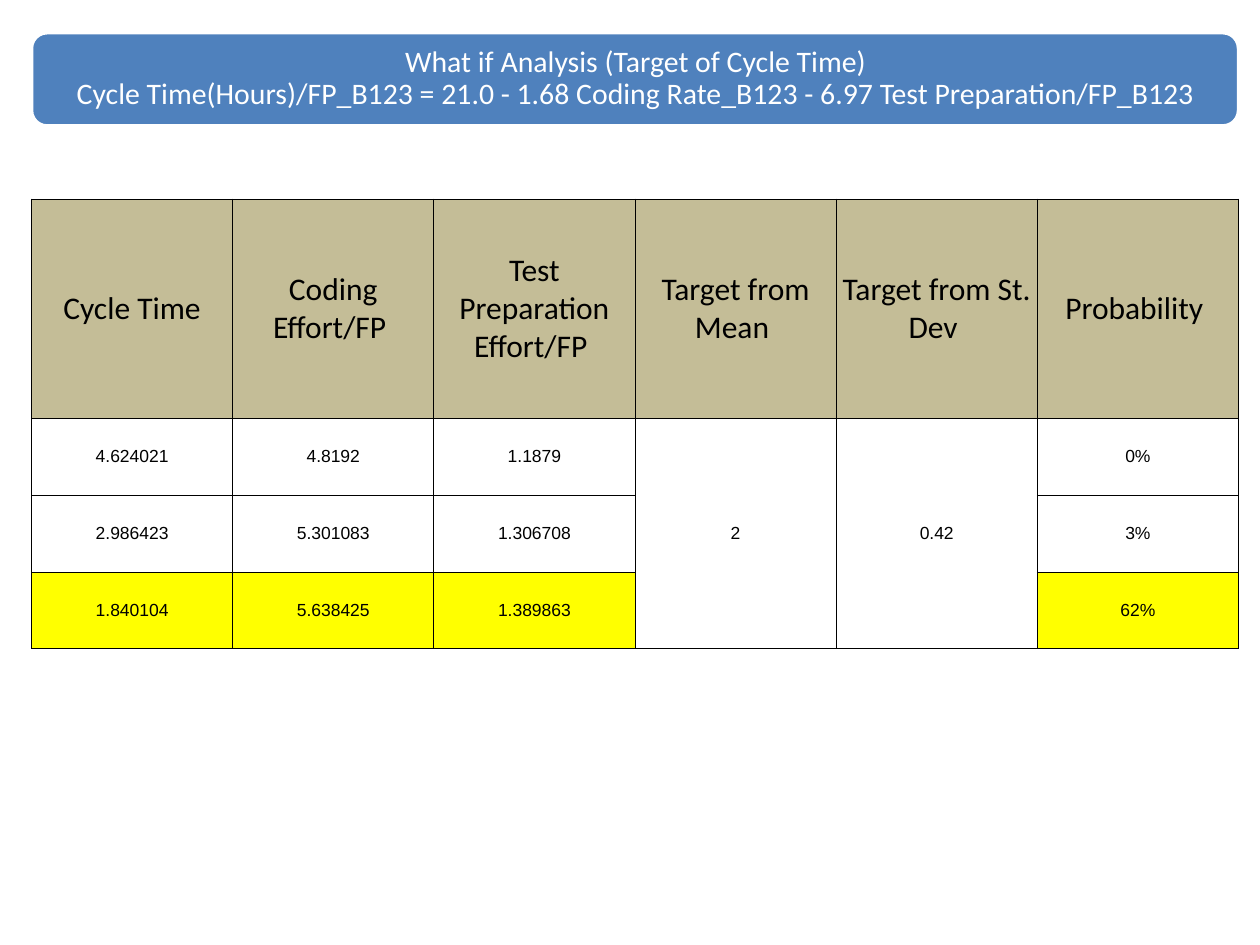
from copy import deepcopy

from lxml import etree
from pptx import Presentation
from pptx.dml.color import RGBColor
from pptx.enum.shapes import MSO_SHAPE
from pptx.enum.text import MSO_ANCHOR, MSO_AUTO_SIZE, PP_ALIGN
from pptx.oxml.ns import qn
from pptx.util import Inches, Pt

ROUNDED = MSO_SHAPE.ROUNDED_RECTANGLE
MIDDLE = MSO_ANCHOR.MIDDLE
CENTER = PP_ALIGN.CENTER
NO_AUTOFIT = MSO_AUTO_SIZE.NONE
TITLE_ONLY = 5

COLORS = {"blue": "4F81BD", "white": "FFFFFF", "black": "000000",
          "tan": "C4BD97", "yellow": "FFFF00"}
FORMATS = {
    "title": {"name": "Calibri", "size": Pt(17), "bold": False},
    "header": {"name": "Calibri", "size": Pt(18), "bold": False},
    "value": {"name": "Arial", "size": Pt(10), "bold": False},
}
SIDES = ("left", "right", "top", "bottom")


def format_text(para, style, color):
    para.alignment = CENTER
    for span in para.runs:
        for name, value in FORMATS[style].items():
            setattr(span.font, name, value)
        span.font.color.rgb = RGBColor.from_string(COLORS[color])


def add_borders(cell):
    properties = cell._tc.get_or_add_tcPr()
    for side in ("lnL", "lnR", "lnT", "lnB"):
        line = etree.SubElement(properties, qn(f"a:{side}"), w=str(Pt(0.5)))
        fill = etree.SubElement(line, qn("a:solidFill"))
        etree.SubElement(fill, qn("a:srgbClr"), val=COLORS["black"])


deck = Presentation()
deck.slide_width, deck.slide_height = Inches(10), Inches(7.5)
page = deck.slides.add_slide(deck.slide_layouts[TITLE_ONLY])

# Title bar, placed behind the title
bar = page.shapes.add_shape(ROUNDED, Inches(0.25), Inches(0.26),
                            Inches(9.58), Inches(0.74))
bar.shadow.inherit = False
bar.fill.solid()
bar.fill.fore_color.rgb = RGBColor.from_string(COLORS["blue"])
bar.line.color.rgb = RGBColor.from_string(COLORS["white"])
bar.line.width = Pt(2)
title = page.shapes.title
title.element.addprevious(bar.element)

# Title text
title.left, title.top = Inches(0.29), Inches(0.29)
title.width, title.height = Inches(9.51), Inches(0.67)
frame = title.text_frame
frame.word_wrap = True
frame.auto_size = NO_AUTOFIT
frame.vertical_anchor = MIDDLE
for side in SIDES:
    setattr(frame, f"margin_{side}", Inches(0.07))
para = frame.paragraphs[0]
para.text = ("What if Analysis (Target of Cycle Time)\v"
             "Cycle Time(Hours)/FP_B123 = 21.0 - 1.68 Coding Rate_B123"
             " - 6.97 Test Preparation/FP_B123")
para.line_spacing = 0.9
format_text(para, "title", "white")
# The line break takes the size of the text around it
run_format = next(title.element.iter(qn("a:rPr")))
for line_break in title.element.iter(qn("a:br")):
    line_break.append(deepcopy(run_format))

# Table of scenarios; the two targets span all of them
rows = [
    ["Cycle Time", "Coding Effort/FP ", "Test Preparation Effort/FP ",
     "Target from Mean ", "Target from St. Dev ", "Probability "],
    ["4.624021", "4.8192", "1.1879", "2", "0.42", "0%"],
    ["2.986423", "5.301083", "1.306708", "", "", "3%"],
    ["1.840104", "5.638425", "1.389863", "", "", "62%"],
]
target_columns = (3, 4)
last_row = len(rows) - 1
table = page.shapes.add_table(len(rows), len(rows[0]), Inches(0.25), Inches(1.58),
                              Inches(9.58), Inches(3.58)).table
table.horz_banding = False
for row_index, values in enumerate(rows):
    is_header = row_index == 0
    table.rows[row_index].height = Inches(1.74 if is_header else 0.61)
    for column_index, value in enumerate(values):
        cell = table.cell(row_index, column_index)
        cell.vertical_anchor = MIDDLE
        for side in SIDES:
            setattr(cell, f"margin_{side}", 0)
        add_borders(cell)
        if is_header:
            fill_color = "tan"
        elif row_index == last_row and column_index not in target_columns:
            fill_color = "yellow"
        else:
            fill_color = None
        if fill_color:
            cell.fill.solid()
            cell.fill.fore_color.rgb = RGBColor.from_string(COLORS[fill_color])
        else:
            cell.fill.background()
        if value:
            para = cell.text_frame.paragraphs[0]
            para.text = value
            format_text(para, "header" if is_header else "value", "black")
for column_index in target_columns:
    table.cell(1, column_index).merge(table.cell(last_row, column_index))

deck.save("out.pptx")
